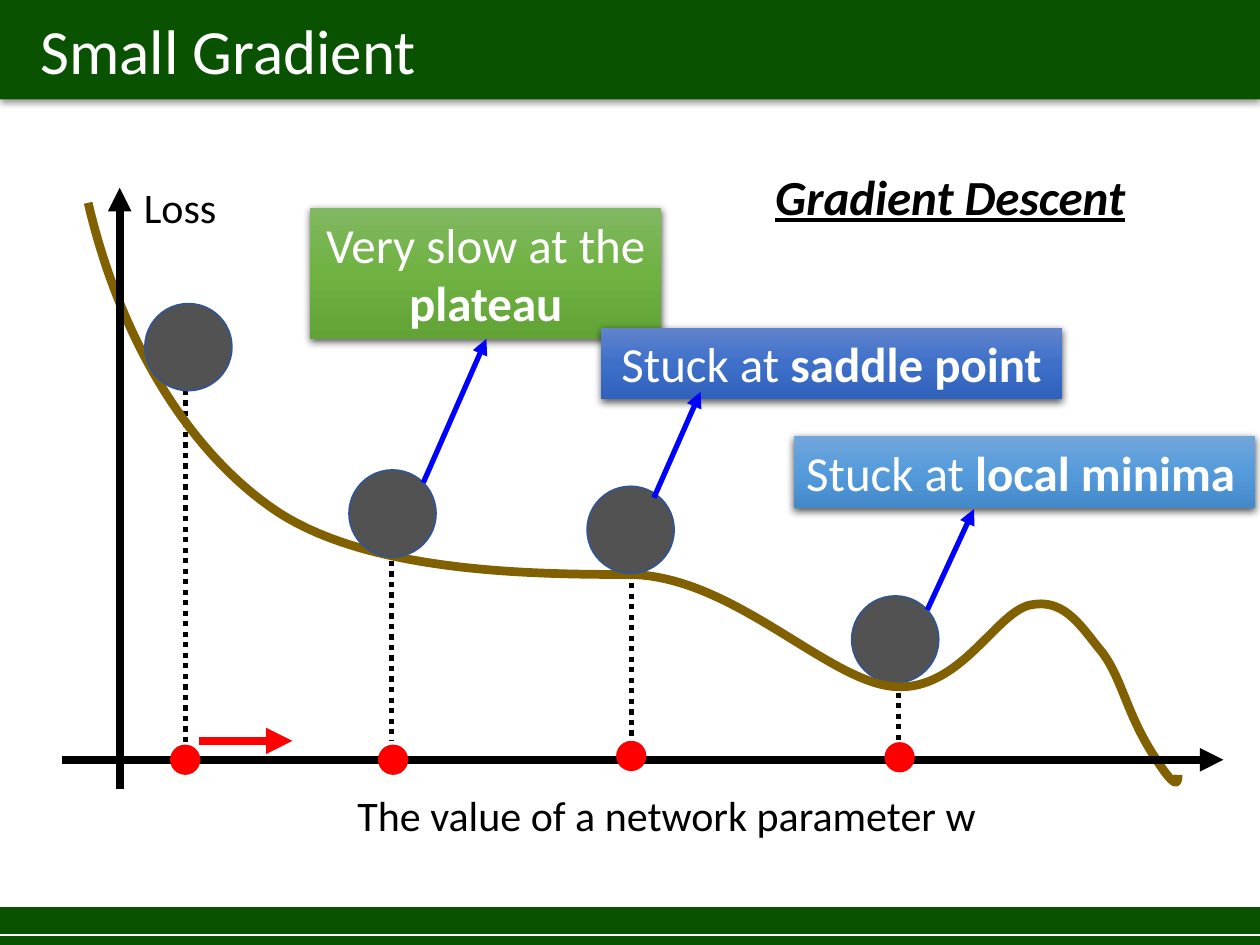
"""Build the Small Gradient slide: a loss curve with its plateau, saddle point and local minimum."""
import copy

import lxml.etree
import pptx
import pptx.dml.color
import pptx.enum.dml
import pptx.enum.shapes
import pptx.enum.text
import pptx.oxml.ns
import pptx.util

COLUMNS, ROWS = 10, 7.5
COLORS = {
    "green": "095200", "white": "FFFFFF", "black": "000000", "ball": "525252",
    "rim": "325491", "red": "FF0000", "blue": "0000FF", "curve": "806000",
}
TITLE = {"size": 36, "color": "white"}
LABEL = {"size": 24, "color": "black"}
CALLOUT = {"size": 28, "color": "white"}
HEADING = {"size": 28, "color": "black", "bold": True, "italic": True, "underline": True}

BALL, DOT = 0.69, 0.24
BALLS = {"start": (1.15, 2.41), "plateau": (2.77, 3.73), "saddle": (4.66, 3.86), "minimum": (6.76, 4.73)}
DOTS = [(1.35, 5.91), (3, 5.91), (4.89, 5.88), (7.02, 5.89)]
DROPS = [(7.13, 5.08, 5.88), (5.01, 3.96, 5.89), (3.11, 3.95, 5.88), (1.47, 2.76, 5.91)]
AXES = [(0.49, 6.03, 9.71, 6.03), (0.95, 6.26, 0.95, 1.49)]
POINTERS = [(7.36, 4.84, 7.73, 4.04), (5.19, 3.95, 5.56, 3.11), (3.36, 3.83, 3.86, 2.69)]
CURVE_START, CURVE_SIZE = (0.7, 1.61), (8.66, 4.6)
CURVE = [
    ((0.94, 2.64), (1.46, 3.55), (2.17, 4.04)),
    ((2.88, 4.53), (4.13, 4.56), (4.97, 4.56)),
    ((5.8, 4.55), (6.56, 5.41), (7.1, 5.45)),
    ((7.63, 5.49), (7.91, 4.84), (8.19, 4.8)),
    ((8.46, 4.75), (8.59, 4.99), (8.75, 5.18)),
    ((8.9, 5.38), (8.94, 5.65), (9.14, 5.97)),
    ((9.34, 6.29), (9.35, 6.22), (9.35, 6.15)),
]
CALLOUTS = {
    "plateau": ((2.46, 1.65, 2.79, 1.04), "Very slow at the ", "plateau", "CENTER", ("81B861", "6FB242", "62A336")),
    "minimum": ((6.3, 3.46, 3.66, 0.57), "Stuck at ", "local minima", "LEFT", ("71A6DB", "559BDB", "448ACA")),
    "saddle": ((4.77, 2.6, 3.66, 0.57), "Stuck at ", "saddle point", "CENTER", ("6183CB", "3E70CA", "3062BB")),
}
LABELS = [
    ((0.9, 1.39, 1.06, 0.5), "Loss", LABEL),
    ((2.45, 6.22, 5.68, 0.5), "The value of a network parameter w", LABEL),
]

deck = pptx.Presentation()
deck.slide_width, deck.slide_height = pptx.util.Inches(COLUMNS), pptx.util.Inches(ROWS)
page = deck.slides.add_slide(deck.slide_layouts[6])
KINDS = pptx.enum.shapes.MSO_SHAPE


def grid(*cells):
    return [round(deck.slide_width * cell / COLUMNS) for cell in cells]


def rgb(value):
    return pptx.dml.color.RGBColor.from_string(COLORS.get(value, value))


def child(parent, tag, **attributes):
    return lxml.etree.SubElement(parent, pptx.oxml.ns.qn(tag), attributes)


def stroke(line, color, width):
    line.fill.solid()
    line.color.rgb = rgb(color)
    line.width = pptx.util.Pt(width)


def add_shape(kind, place, fill=None, rim=None):
    shape = page.shapes.add_shape(kind, *grid(*place))
    shape.shadow.inherit = False
    if fill:
        shape.fill.solid()
        shape.fill.fore_color.rgb = rgb(fill)
    if rim:
        stroke(shape.line, rim, 1)
    else:
        shape.line.fill.background()
    return shape


def add_shadow(shape, alpha, blur, distance):
    effects = shape._element.spPr.find(pptx.oxml.ns.qn("a:effectLst"))
    shadow = child(effects, "a:outerShdw", blurRad=str(pptx.util.Pt(blur)), dist=str(pptx.util.Pt(distance)),
                   dir="5400000", algn="ctr", rotWithShape="0")
    tint = child(shadow, "a:srgbClr", val=COLORS["black"])
    child(tint, "a:alpha", val=str(alpha * 1000))


def add_gradient(shape, colors):
    shape.fill.gradient()
    shape.fill.gradient_angle = 270
    stops = shape._element.spPr.find(".//" + pptx.oxml.ns.qn("a:gsLst"))
    stops.append(copy.deepcopy(stops[0]))
    for index, (stop, color) in enumerate(zip(shape.fill.gradient_stops, colors)):
        stop.position = index / (len(colors) - 1)
        stop.color.rgb = rgb(color)


def write(box, spans, align="CENTER", anchor="TOP"):
    frame = box.text_frame
    frame.word_wrap = True
    frame.vertical_anchor = pptx.enum.text.MSO_ANCHOR[anchor]
    para = frame.paragraphs[0]
    para.alignment = pptx.enum.text.PP_ALIGN[align]
    for text, style in spans:
        span = para.add_run()
        span.text = text
        values = {**style, "name": "Calibri", "size": pptx.util.Pt(style["size"])}
        span.font.color.rgb = rgb(values.pop("color"))
        for name, value in values.items():
            setattr(span.font, name, value)


def add_line(ends, color, width, arrow=False, dash=None):
    line = page.shapes.add_connector(pptx.enum.shapes.MSO_CONNECTOR.STRAIGHT, *grid(*ends))
    stroke(line.line, color, width)
    if dash:
        line.line.dash_style = dash
    if arrow:
        child(line.line._get_or_add_ln(), "a:tailEnd", type="triangle")
    child(line._element.spPr, "a:effectLst")


def add_ball(name):
    add_shape(KINDS.OVAL, (*BALLS[name], BALL, BALL), "ball", "rim")


def add_label(place, text, style):
    write(page.shapes.add_textbox(*grid(*place)), [(text, style)])


def add_callout(name):
    place, lead, strong, align, colors = CALLOUTS[name]
    box = add_shape(KINDS.RECTANGLE, place)
    add_gradient(box, colors)
    add_shadow(box, 63, 4.5, 1.5)
    write(box, [(lead, CALLOUT), (strong, {**CALLOUT, "bold": True})], align)


def add_curve():
    builder = page.shapes.build_freeform(*grid(*CURVE_START))
    builder.add_line_segments([grid(*bend[-1]) for bend in CURVE], close=False)
    curve = builder.convert_to_shape()
    curve.width, curve.height = grid(*CURVE_SIZE)
    outline = curve._element.spPr.find(".//" + pptx.oxml.ns.qn("a:path"))
    outline.set("w", str(curve.width))
    outline.set("h", str(curve.height))
    for straight, bend in zip(outline.findall(pptx.oxml.ns.qn("a:lnTo")), CURVE):
        outline.remove(straight)
        cubic = child(outline, "a:cubicBezTo")
        for point in bend:
            x, y = grid(*(end - start for end, start in zip(point, CURVE_START)))
            child(cubic, "a:pt", x=str(x), y=str(y))
    curve.shadow.inherit = False
    curve.fill.background()
    stroke(curve.line, "curve", 5)


def main():
    banner = add_shape(KINDS.RECTANGLE, (0, -0.01, COLUMNS, 0.8), "green")
    add_shadow(banner, 40, 4, 1)
    write(banner, [("Small Gradient", TITLE)], "LEFT", "MIDDLE")
    banner.text_frame.margin_left = grid(0.32)[0]
    add_shape(KINDS.RECTANGLE, (0, ROWS - 0.3, COLUMNS, 0.3), "green")
    add_line((0, 7.42, COLUMNS, 7.42), "white", 0.75)

    dotted = pptx.enum.dml.MSO_LINE.ROUND_DOT
    for index, (x, top, bottom) in enumerate(DROPS):
        add_line((x, top, x, bottom), "black", 3, dash=dotted)
        if index == 0:
            add_ball("minimum")
    add_line((1.58, 5.88, 2.32, 5.88), "red", 5, arrow=True)
    add_curve()
    add_ball("saddle")
    for ends in AXES:
        add_line(ends, "black", 4.5, arrow=True)
    for label in LABELS:
        add_label(*label)
    add_callout("plateau")
    add_callout("minimum")
    add_ball("start")
    add_ball("plateau")
    add_callout("saddle")
    for ends in POINTERS:
        add_line(ends, "blue", 3, arrow=True)
    for dot in DOTS:
        add_shape(KINDS.OVAL, (*dot, DOT, DOT), "red")
    add_label((5.9, 1.27, 3.28, 0.57), "Gradient Descent", HEADING)
    deck.save("out.pptx")


if __name__ == "__main__":
    main()
